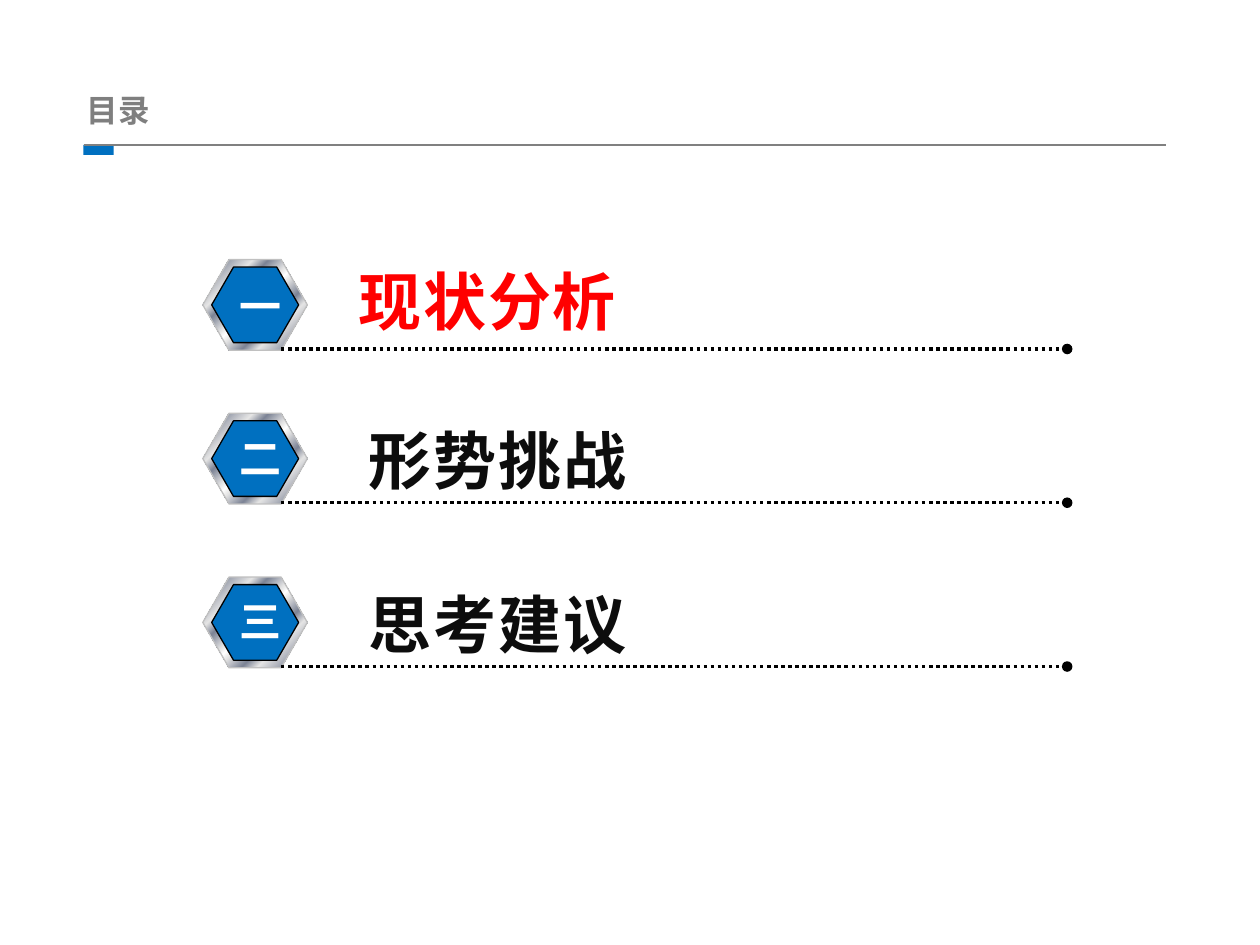
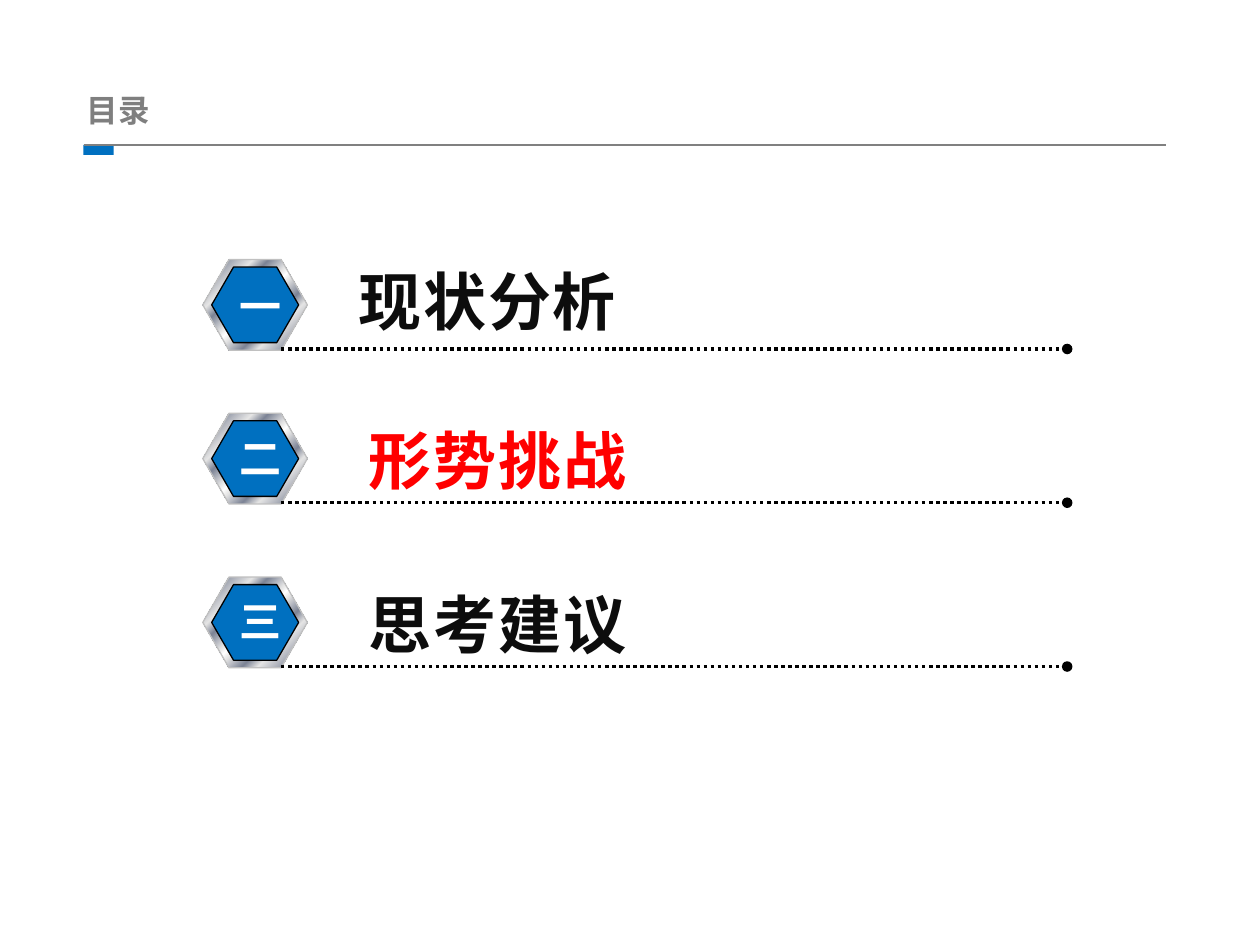
from dataclasses import dataclass

from lxml.etree import SubElement
from pptx import Presentation
from pptx.dml.color import RGBColor
from pptx.enum.dml import MSO_LINE
from pptx.enum.shapes import MSO_CONNECTOR, MSO_SHAPE
from pptx.enum.text import MSO_ANCHOR, MSO_AUTO_SIZE, PP_ALIGN
from pptx.oxml.ns import qn
from pptx.shapes.autoshape import Shape
from pptx.shapes.connector import Connector
from pptx.shapes.group import GroupShape
from pptx.slide import Slide
from pptx.text.text import TextFrame
from pptx.util import Pt

FONT = "Noto Sans CJK SC"
COLORS = {
    "title": "7F7F7F",
    "rule": "808080",
    "accent": "0070C0",
    "active": "FF0000",
    "inactive": "0D0D0D",
    "numeral": "FFFFFF",
    "outline": "000000",
    "ring": "C0C0C0",
    "light": "E6E6E6",
    "dark": "7D8496",
    "shine": "FFFFFF",
}
METAL_STOPS = [
    (0, "light"), (8, "dark"), (26, "light"), (34, "dark"), (46, "light"), (50, "shine"),
    (54, "light"), (66, "dark"), (74, "light"), (92, "dark"), (100, "light"),
]


@dataclass(frozen=True)
class Section:
    numeral: str
    name: str
    ring_top: float
    numeral_offset: float = 7.2
    label_left: float = 203.76
    label_width: float = 377.28
    label_anchor: MSO_ANCHOR = MSO_ANCHOR.TOP


SECTIONS = [
    Section("一", "现状分析", 148.32, 8.64, 198, 388.8, MSO_ANCHOR.MIDDLE),
    Section("二", "形势挑战", 236.16),
    Section("三", "思考建议", 329.76),
]


def rgb(color: str) -> RGBColor:
    return RGBColor.from_string(COLORS[color])


def write_run(frame: TextFrame, text: str, size: float, color: str, spacing: float = 0) -> None:
    run = frame.paragraphs[0].add_run()
    run.text = text
    run.font.size = Pt(size)
    run.font.bold = True
    run.font.color.rgb = rgb(color)
    run.font.name = FONT
    properties = run.font._element
    SubElement(properties, qn("a:ea"), typeface=FONT)
    if spacing:
        properties.set("spc", str(int(spacing * 100)))


def add_text_box(group: GroupShape, left: float, top: float, width: float, height: float) -> TextFrame:
    box = group.shapes.add_textbox(Pt(left), Pt(top), Pt(width), Pt(height))
    box.text_frame.word_wrap = True
    box.text_frame.auto_size = MSO_AUTO_SIZE.SHAPE_TO_FIT_TEXT
    return box.text_frame


def add_line(parent: Slide | GroupShape, left: float, right: float, y: float,
             color: str, width: float) -> Connector:
    line = parent.shapes.add_connector(MSO_CONNECTOR.STRAIGHT, Pt(left), Pt(y), Pt(right), Pt(y))
    line.line.color.rgb = rgb(color)
    line.line.width = Pt(width)
    SubElement(line._element.spPr, qn("a:effectLst"))
    return line


def add_hexagon(group: GroupShape, left: float, top: float, width: float, height: float,
                outline: str) -> Shape:
    hexagon = group.shapes.add_shape(MSO_SHAPE.HEXAGON, Pt(left), Pt(top), Pt(width), Pt(height))
    hexagon.adjustments[0] = 0.289
    hexagon.shadow.inherit = False
    hexagon.line.color.rgb = rgb(outline)
    hexagon.line.width = Pt(0.75)
    return hexagon


def fill_metal(shape: Shape) -> None:
    """Give the shape the brushed metal gradient."""
    shape.fill.gradient()
    shape.fill.gradient_angle = 315  # counter-clockwise, so 45 degrees clockwise
    stops = shape._element.spPr.find(qn("a:gradFill")).find(qn("a:gsLst"))
    for stop in list(stops):
        stops.remove(stop)
    for percent, color in METAL_STOPS:
        stop = SubElement(stops, qn("a:gs"), pos=str(percent * 1000))
        SubElement(stop, qn("a:srgbClr"), val=COLORS[color])


def add_header(slide: Slide, text: str) -> None:
    title = slide.shapes.title
    title.left, title.top, title.width, title.height = Pt(42.48), Pt(48.96), Pt(203.76), Pt(28.08)
    frame = title.text_frame
    frame.word_wrap = False
    frame.auto_size = MSO_AUTO_SIZE.NONE
    frame.vertical_anchor = MSO_ANCHOR.MIDDLE
    frame.paragraphs[0].alignment = PP_ALIGN.LEFT
    write_run(frame, text, 18, "title")

    tab = slide.shapes.add_shape(MSO_SHAPE.RECTANGLE, Pt(47.7), Pt(82.8), Pt(17.28), Pt(5.76))
    tab.shadow.inherit = False
    tab.fill.solid()
    tab.fill.fore_color.rgb = rgb("accent")
    tab.line.fill.background()
    add_line(slide, 48.24, 666, 82.8, "rule", 0.75)


def add_section(slide: Slide, section: Section, active: bool) -> None:
    group = slide.shapes.add_group_shape()
    top = section.ring_top

    label = add_text_box(group, section.label_left, top - 20.16, section.label_width, 64.8)
    label.vertical_anchor = section.label_anchor
    label.paragraphs[0].line_spacing = 1.5
    write_run(label, section.name, 36, "active" if active else "inactive", spacing=1)

    fill_metal(add_hexagon(group, 115.92, top, 59.76, 51.84, "ring"))
    badge = add_hexagon(group, 120.96, top + 4.32, 49.68, 43.2, "outline")
    badge.fill.solid()
    badge.fill.fore_color.rgb = rgb("accent")

    leader = add_line(group, 160.56, 609.84, top + 51.12, "outline", 2)
    leader.line.dash_style = MSO_LINE.ROUND_DOT
    SubElement(leader.line._ln, qn("a:tailEnd"), type="oval")

    numeral = add_text_box(group, 129.6, top + section.numeral_offset, 33.84, 36)
    numeral.paragraphs[0].alignment = PP_ALIGN.CENTER
    write_run(numeral, section.numeral, 24, "numeral")


def add_contents_slide(presentation: Presentation, active: Section) -> None:
    slide = presentation.slides.add_slide(presentation.slide_layouts[5])
    add_header(slide, "目录")
    for section in SECTIONS:
        add_section(slide, section, section is active)


def main() -> None:
    presentation = Presentation()
    presentation.slide_width, presentation.slide_height = Pt(720), Pt(540)
    for active in SECTIONS[:2]:
        add_contents_slide(presentation, active)
    presentation.save("out.pptx")


if __name__ == "__main__":
    main()
